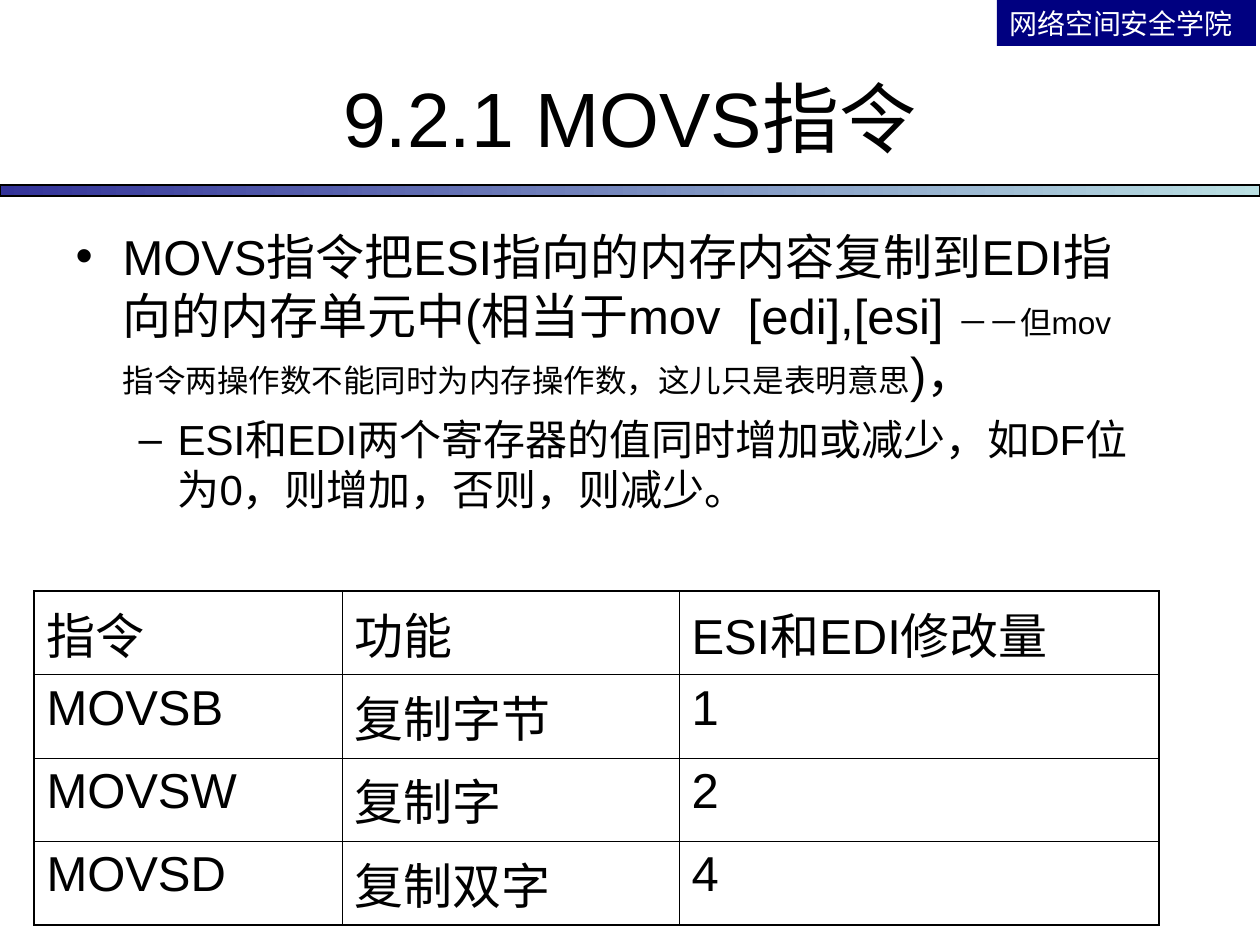
from lxml import etree
from pptx import Presentation
from pptx.dml.color import RGBColor
from pptx.enum.shapes import MSO_SHAPE as Preset
from pptx.enum.text import MSO_ANCHOR as Anchor, MSO_AUTO_SIZE as AutoSize, PP_ALIGN as Align
from pptx.oxml.ns import qn
from pptx.util import Emu, Pt

EMU_PER_INCH = 914400
PX_PER_INCH = 126
FONT = "Arial"
BLACK = RGBColor(0x00, 0x00, 0x00)
WHITE = RGBColor(0xFF, 0xFF, 0xFF)
NAVY = RGBColor(0x00, 0x00, 0x80)
INDIGO = RGBColor(0x33, 0x33, 0x99)
PALE_CYAN = RGBColor(0xBB, 0xE0, 0xE3)

OUTER_BORDER = Pt(1.08)
INNER_BORDER = Pt(0.45)

# Each bullet: level, mark, left margin px, hanging px, space before pt, runs (text, size)
BULLETS = [
    (0, "•", 47, 47, 0, [
        ("MOVS指令把ESI指向的内存内容复制到EDI指向的内存单元中(相当于mov  [edi],[esi] ", 28),
        ("－－但mov指令两操作数不能同时为内存操作数，这儿只是表明意思", 18),
        (")，", 28),
    ]),
    (1, "–", 102, 39, 6, [
        ("ESI和EDI两个寄存器的值同时增加或减少，如DF位为0，则增加，否则，则减少。", 24),
    ]),
]

INSTRUCTIONS = [
    ("指令", "功能", "ESI和EDI修改量"),
    ("MOVSB", "复制字节", "1"),
    ("MOVSW", "复制字", "2"),
    ("MOVSD", "复制双字", "4"),
]
COLUMN_WIDTHS = [308, 337, 480]
ROW_HEIGHT = 83


def px(length):
    return Emu(round(length * EMU_PER_INCH / PX_PER_INCH))


def place(shape, left, top, width, height):
    shape.left, shape.top = px(left), px(top)
    shape.width, shape.height = px(width), px(height)


def format_run(run, size, color=BLACK):
    run.font.name = FONT
    run.font.size = Pt(size)
    run.font.color.rgb = color


def set_text(text_frame, text, size, color=BLACK, align=Align.LEFT):
    text_frame.text = text
    paragraph = text_frame.paragraphs[0]
    paragraph.alignment = align
    format_run(paragraph.runs[0], size, color)


def add_rectangle(slide, left, top, width, height):
    shape = slide.shapes.add_shape(Preset.RECTANGLE, px(left), px(top), px(width), px(height))
    shape.shadow.inherit = False
    return shape


def add_divider(slide):
    bar = add_rectangle(slide, 0, 185, 1260, 11)
    bar.fill.gradient()
    bar.fill.gradient_angle = 0
    for stop, color in zip(bar.fill.gradient_stops, (INDIGO, PALE_CYAN)):
        stop.color.rgb = color
    bar.line.color.rgb = BLACK
    bar.line.width = Pt(0.75)


def add_school_label(slide):
    label = add_rectangle(slide, 997, 0, 259, 46)
    label.fill.solid()
    label.fill.fore_color.rgb = NAVY
    label.line.fill.background()
    label.text_frame.word_wrap = True
    label.text_frame.vertical_anchor = Anchor.TOP
    set_text(label.text_frame, "网络空间安全学院", 16, WHITE)


def fill_title(title):
    place(title, 63, 38, 1134, 157)
    title.text_frame.auto_size = AutoSize.NONE
    title.text_frame.vertical_anchor = Anchor.MIDDLE
    set_text(title.text_frame, "9.2.1 MOVS指令", 44, align=Align.CENTER)


def set_bullet(paragraph, mark, margin, hanging):
    properties = paragraph._p.get_or_add_pPr()
    properties.set("marL", str(px(margin)))
    properties.set("indent", str(-px(hanging)))
    color = etree.SubElement(properties, qn("a:buClr"))
    etree.SubElement(color, qn("a:srgbClr"), val=str(BLACK))
    etree.SubElement(properties, qn("a:buFont"), typeface=FONT)
    etree.SubElement(properties, qn("a:buChar"), char=mark)


def fill_body(body):
    place(body, 63, 220, 1084, 334)
    text_frame = body.text_frame
    text_frame.auto_size = AutoSize.NONE
    for index, (level, mark, margin, hanging, space, runs) in enumerate(BULLETS):
        paragraph = text_frame.add_paragraph() if index else text_frame.paragraphs[0]
        paragraph.level = level
        set_bullet(paragraph, mark, margin, hanging)
        paragraph.space_before = Pt(space)
        for text, size in runs:
            run = paragraph.add_run()
            run.text = text
            format_run(run, size)


def set_borders(cell, outer_sides):
    """Draw all four borders, heavier on the sides named in outer_sides."""
    properties = cell._tc.get_or_add_tcPr()
    for index, side in enumerate("LRTB"):
        width = OUTER_BORDER if side in outer_sides else INNER_BORDER
        line = etree.Element(qn(f"a:ln{side}"), w=str(width))
        fill = etree.SubElement(line, qn("a:solidFill"))
        etree.SubElement(fill, qn("a:srgbClr"), val=str(BLACK))
        properties.insert(index, line)


def add_instruction_table(slide):
    row_count, column_count = len(INSTRUCTIONS), len(COLUMN_WIDTHS)
    table = slide.shapes.add_table(
        row_count, column_count, px(34), px(591),
        px(sum(COLUMN_WIDTHS)), px(ROW_HEIGHT * row_count)).table
    table.first_row = table.horz_banding = False
    for column, width in zip(table.columns, COLUMN_WIDTHS):
        column.width = px(width)
    for row_index, texts in enumerate(INSTRUCTIONS):
        table.rows[row_index].height = px(ROW_HEIGHT)
        for column_index, text in enumerate(texts):
            cell = table.cell(row_index, column_index)
            cell.fill.background()
            set_text(cell.text_frame, text, 28)
            edges = {"L": column_index == 0, "R": column_index == column_count - 1,
                     "T": row_index == 0, "B": row_index == row_count - 1}
            set_borders(cell, [side for side, is_outer in edges.items() if is_outer])


def main():
    presentation = Presentation()
    presentation.slide_width, presentation.slide_height = px(1260), px(945)
    slide = presentation.slides.add_slide(presentation.slide_layouts[1])
    add_divider(slide)
    add_school_label(slide)
    fill_title(slide.shapes.title)
    fill_body(slide.placeholders[1])
    add_instruction_table(slide)
    presentation.save("out.pptx")


if __name__ == "__main__":
    main()
